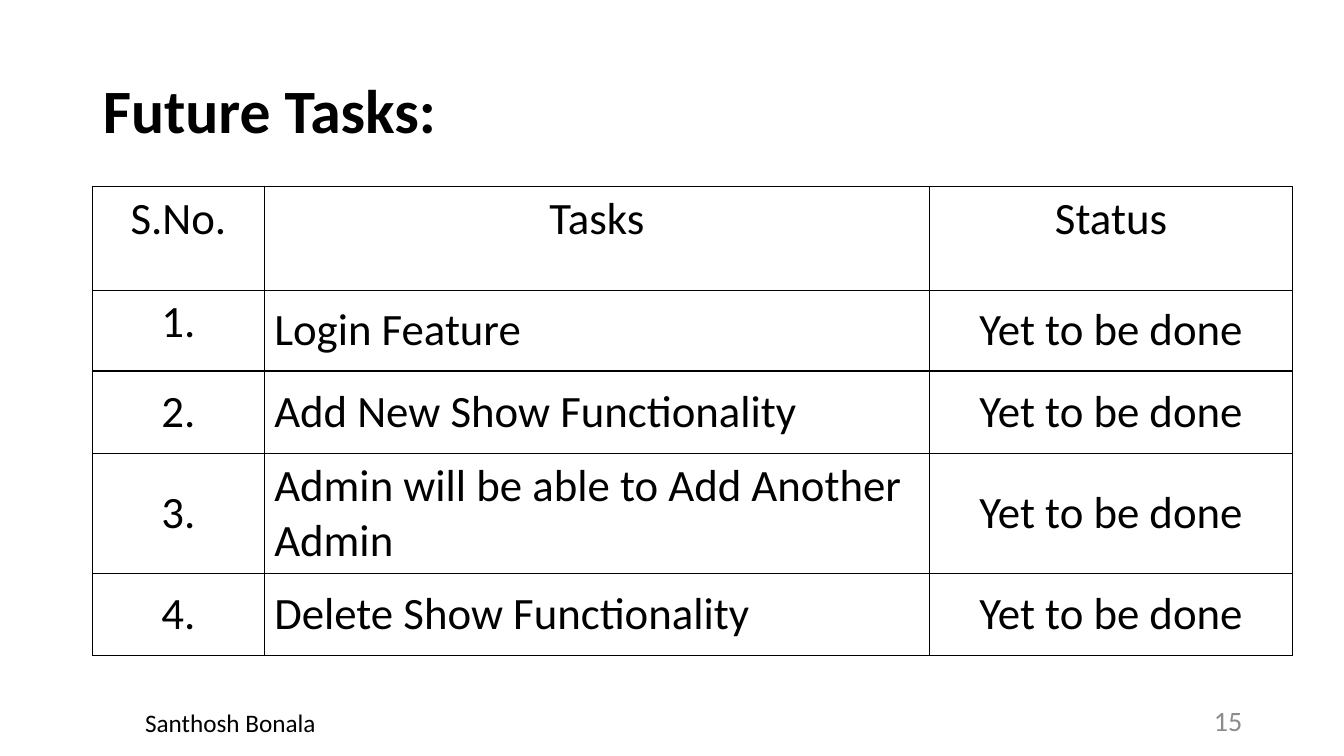
import dataclasses
import typing

import lxml.etree
import pptx
import pptx.dml.color
import pptx.enum.text
import pptx.oxml.ns
import pptx.util

Inches = pptx.util.Inches
Align = pptx.enum.text.PP_ALIGN
Anchor = pptx.enum.text.MSO_ANCHOR

FONT = "Calibri"
COLORS = {"ink": "000000", "gray": "8C8C8C"}


@dataclasses.dataclass
class Task:
    num: str
    name: str
    state: str
    tall: float
    mid: bool = True


@dataclasses.dataclass
class Label:
    text: str
    box: tuple[float, float, float, float]
    size: int
    color: str
    align: typing.Any
    anchor: typing.Any


WIDTHS = [1.7, 6.6, 3.6]
ALIGNS = [Align.CENTER, Align.LEFT, Align.CENTER]
HEAD = Task("S.No.", "Tasks", "Status", 1.03)
TASKS = [
    Task("1.", "Login Feature", "Yet to be done", 0.8, mid=False),
    Task("2.", "Add New Show Functionality", "Yet to be done", 0.82),
    Task("3.", "Admin will be able to Add Another Admin", "Yet to be done", 1.18),
    Task("4.", "Delete Show Functionality", "Yet to be done", 0.82),
]
LABELS = [
    Label("15", (9.42, 6.95, 3, 0.4), 20, "gray", Align.RIGHT, Anchor.MIDDLE),
    Label("Santhosh Bonala", (0.42, 6.97, 3.73, 0.4), 18, "ink", Align.CENTER, Anchor.TOP),
]


def write(frame, text: str, *, size: int, color: str = "ink", bold: bool = False,
          align=Align.LEFT, space: float | None = None) -> None:
    para = frame.paragraphs[0]
    para.alignment = align
    para.line_spacing = space
    run = para.add_run()
    run.text = text
    run.font.name = FONT
    run.font.size = pptx.util.Pt(size)
    run.font.bold = bold
    run.font.color.rgb = pptx.dml.color.RGBColor.from_string(COLORS[color])


def place(shape, box: tuple[float, float, float, float]) -> None:
    shape.left, shape.top, shape.width, shape.height = map(Inches, box)


def border(cell) -> None:
    props = cell._tc.get_or_add_tcPr()
    for spot, side in enumerate(("lnL", "lnR", "lnT", "lnB")):
        line = lxml.etree.Element(pptx.oxml.ns.qn(f"a:{side}"), w=str(pptx.util.Pt(1)))
        fill = lxml.etree.SubElement(line, pptx.oxml.ns.qn("a:solidFill"))
        lxml.etree.SubElement(fill, pptx.oxml.ns.qn("a:srgbClr"), val=COLORS["ink"])
        props.insert(spot, line)


def draw_cell(cell, text: str, align, anchor) -> None:
    cell.fill.background()
    border(cell)
    cell.vertical_anchor = anchor
    write(cell.text_frame, text, size=32, align=align)


def draw_table(slide) -> None:
    rows = [HEAD, *TASKS]
    box = (0.92, 1.85, sum(WIDTHS), sum(row.tall for row in rows))
    table = slide.shapes.add_table(len(rows), len(WIDTHS), *map(Inches, box)).table
    table.first_row = table.horz_banding = False
    for col, width in zip(table.columns, WIDTHS):
        col.width = Inches(width)
    for r, task in enumerate(rows):
        table.rows[r].height = Inches(task.tall)
        for c, text in enumerate((task.num, task.name, task.state)):
            head = task is HEAD
            high = head or (c == 0 and not task.mid)
            draw_cell(table.cell(r, c), text,
                      Align.CENTER if head else ALIGNS[c],
                      Anchor.TOP if high else Anchor.MIDDLE)


def draw_label(slide, label: Label) -> None:
    frame = slide.shapes.add_textbox(*map(Inches, label.box)).text_frame
    frame.word_wrap = True
    frame.vertical_anchor = label.anchor
    write(frame, label.text, size=label.size, color=label.color, align=label.align)


def main() -> None:
    deck = pptx.Presentation()
    deck.slide_width, deck.slide_height = Inches(13.33), Inches(7.5)
    slide = deck.slides.add_slide(deck.slide_layouts[5])
    title = slide.shapes.title
    place(title, (0.92, 0.4, 11.5, 1.45))
    title.text_frame.vertical_anchor = Anchor.MIDDLE
    write(title.text_frame, "Future Tasks:", size=44, bold=True, space=0.9)
    draw_table(slide)
    for label in LABELS:
        draw_label(slide, label)
    deck.save("out.pptx")


if __name__ == "__main__":
    main()
